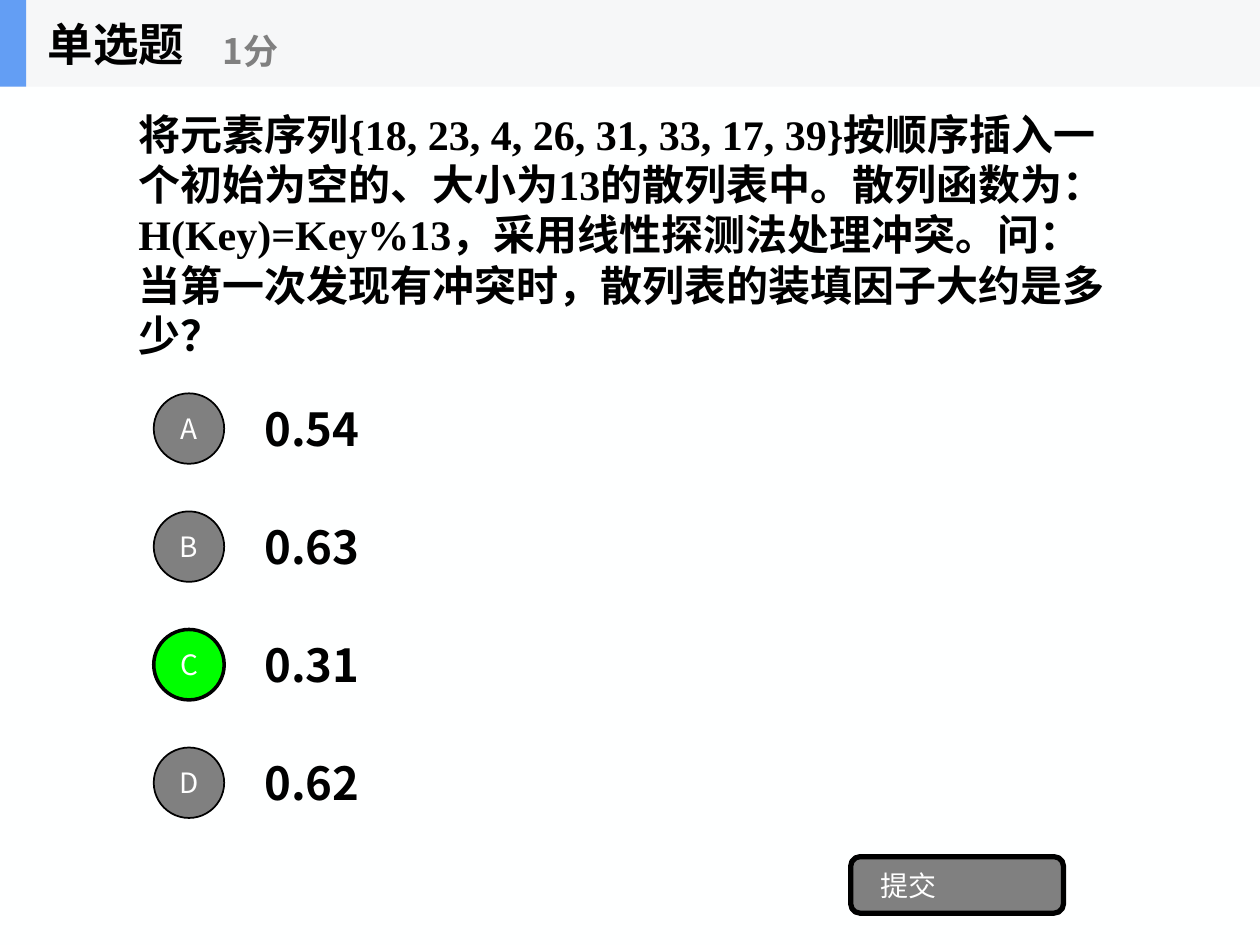
from dataclasses import dataclass

import pptx
import pptx.dml.color
import pptx.enum.shapes
import pptx.enum.text
import pptx.oxml.ns
import pptx.util
from lxml import etree
from pptx.util import Cm

COLORS = {
    "page": "FEFFFF", "band": "F6F7F8", "accent": "639EF4",
    "ink": "000000", "gray": "808080", "correct": "00FF00", "white": "FFFFFF",
}
SANS = "Noto Sans CJK SC"
SERIF = "Times New Roman"
SHAPES = pptx.enum.shapes.MSO_SHAPE
ALIGN = pptx.enum.text.PP_ALIGN

FIRST_CENTER, OPTION_STEP = 8.64, 2.38
DISC_SIZE, OPTION_HEIGHT = 1.42, 1.78
HEADER_HEIGHT = 1.75


@dataclass
class Option:
    letter: str
    answer: str
    correct: bool = False


OPTIONS = [
    Option("A", "0.54"),
    Option("B", "0.63"),
    Option("C", "0.31", correct=True),
    Option("D", "0.62"),
]


def rgb(name: str) -> pptx.dml.color.RGBColor:
    return pptx.dml.color.RGBColor.from_string(COLORS[name])


def write(shape, text: str, *, size: float, color: str = "ink", bold: bool = False,
          font: str = SANS, align=ALIGN.LEFT, wrap: bool = True,
          inset: float = 0.25, spacing: float | None = None) -> None:
    """Put one formatted paragraph, vertically centred, into a shape."""
    frame = shape.text_frame
    frame.auto_size = pptx.enum.text.MSO_AUTO_SIZE.NONE
    frame.word_wrap = wrap
    frame.vertical_anchor = pptx.enum.text.MSO_ANCHOR.MIDDLE
    frame.margin_left = Cm(inset)
    para = frame.paragraphs[0]
    properties = para._p.get_or_add_pPr()
    properties.set("marL", "0")
    properties.set("indent", "0")
    etree.SubElement(properties, pptx.oxml.ns.qn("a:buNone"))
    para.alignment = align
    para.space_before = pptx.util.Pt(0)
    if spacing:
        para.line_spacing = pptx.util.Pt(spacing)
    span = para.add_run()
    span.text = text
    span.font.size = pptx.util.Pt(size)
    span.font.bold = bold
    span.font.color.rgb = rgb(color)
    span.font.name = font
    east_asian = etree.SubElement(span._r.get_or_add_rPr(), pptx.oxml.ns.qn("a:ea"))
    east_asian.set("typeface", SANS)


def place(shape, left: float, top: float, width: float, height: float) -> None:
    shape.left, shape.top, shape.width, shape.height = map(Cm, (left, top, width, height))


def add_box(page, left: float, top: float, width: float, height: float):
    return page.shapes.add_textbox(Cm(left), Cm(top), Cm(width), Cm(height))


def add_shape(page, kind, left: float, top: float, width: float, height: float,
              fill: str, line_width: float = 0):
    shape = page.shapes.add_shape(kind, Cm(left), Cm(top), Cm(width), Cm(height))
    shape.shadow.inherit = False
    shape.fill.solid()
    shape.fill.fore_color.rgb = rgb(fill)
    if line_width:
        shape.line.color.rgb = rgb("ink")
        shape.line.width = pptx.util.Pt(line_width)
    else:
        shape.line.fill.background()
    return shape


def add_option(page, option: Option, center: float) -> None:
    answer = add_box(page, 5.08, center - OPTION_HEIGHT / 2, 17.78, OPTION_HEIGHT)
    write(answer, option.answer, size=26, bold=True)
    disc = add_shape(page, SHAPES.OVAL, 3.1, center - DISC_SIZE / 2, DISC_SIZE, DISC_SIZE,
                     "correct" if option.correct else "gray", 2 if option.correct else 1)
    disc.text_frame.margin_right = Cm(0)
    write(disc, option.letter, size=16, color="white", align=ALIGN.CENTER,
          wrap=False, inset=0)


def main() -> None:
    deck = pptx.Presentation()
    deck.slide_width, deck.slide_height = Cm(25.4), Cm(19.05)
    page = deck.slides.add_slide(deck.slide_layouts[1])
    page.background.fill.solid()
    page.background.fill.fore_color.rgb = rgb("page")

    # Question
    title, question = page.shapes.title, page.placeholders[1]
    place(question, 2.54, 1.75, 20.32, 5.94)
    write(question,
          "将元素序列{18, 23, 4, 26, 31, 33, 17, 39}按顺序插入一个初始为空的、"
          "大小为13的散列表中。散列函数为：H(Key)=Key%13，采用线性探测法处理冲突。"
          "问：当第一次发现有冲突时，散列表的装填因子大约是多少？",
          size=24, bold=True, font=SERIF, spacing=28.7)

    # Options
    for row, option in enumerate(OPTIONS):
        add_option(page, option, FIRST_CENTER + row * OPTION_STEP)

    # Submit button
    button = add_shape(page, SHAPES.ROUNDED_RECTANGLE, 17.15, 17.27, 4.29, 1.14, "gray", 3)
    write(button, "提交", size=16, color="white", inset=0.54)

    # Header: the title is raised above its band
    add_shape(page, SHAPES.RECTANGLE, 0, 0, 25.4, HEADER_HEIGHT, "band")
    add_shape(page, SHAPES.RECTANGLE, 0, 0, 0.53, HEADER_HEIGHT, "accent")
    title.element.getparent().append(title.element)
    place(title, 0.71, 0, 5.28, HEADER_HEIGHT)
    write(title, "单选题", size=26, bold=True, wrap=False)
    points = add_box(page, 4.24, 0.3, 6.35, 1.42)
    write(points, "1分", size=20, color="gray", bold=True, wrap=False)

    deck.save("out.pptx")


if __name__ == "__main__":
    main()
